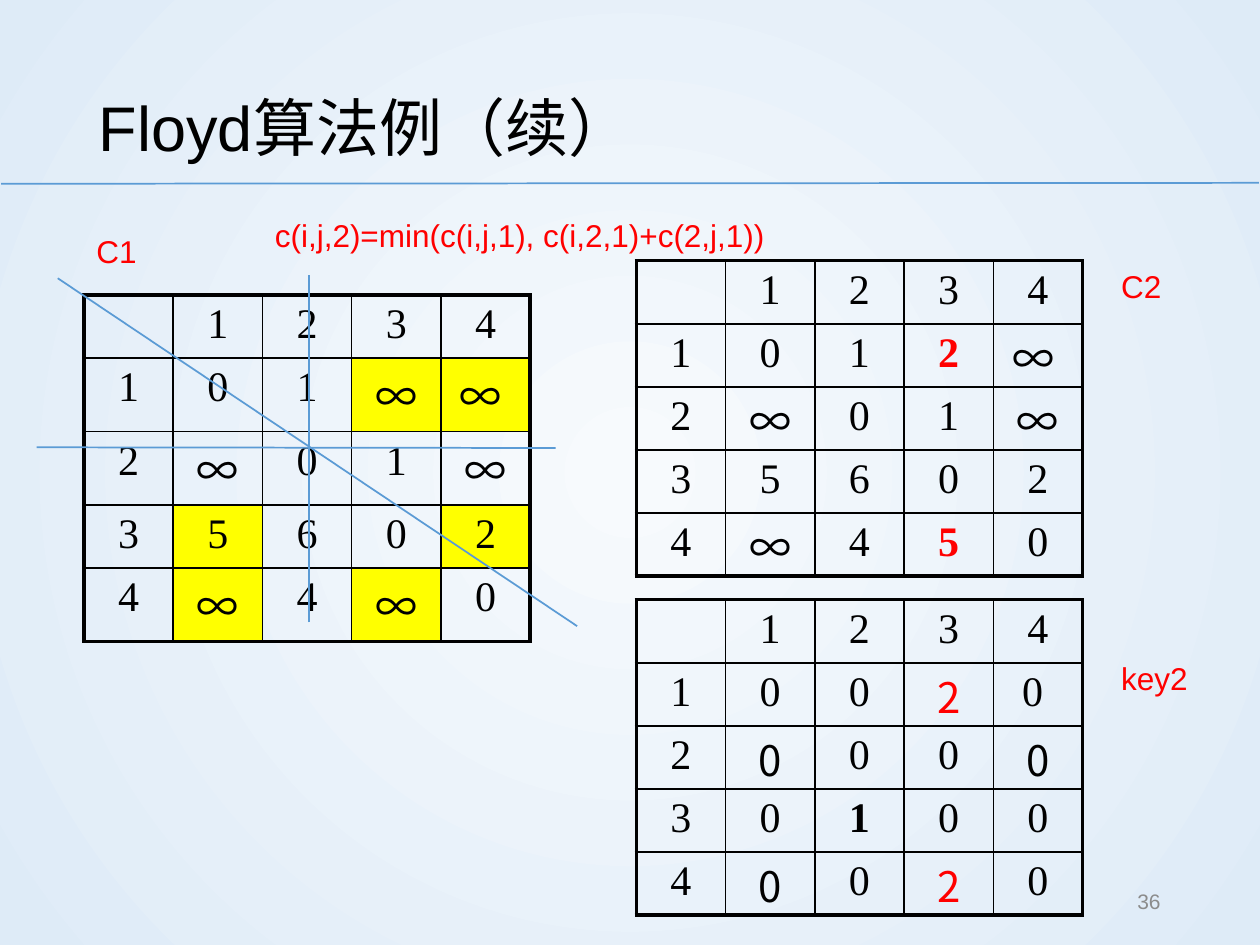
from lxml.etree import SubElement
from pptx import Presentation
from pptx.dml.color import RGBColor
from pptx.enum.shapes import MSO_CONNECTOR
from pptx.enum.text import MSO_ANCHOR, PP_ALIGN
from pptx.oxml.ns import qn
from pptx.util import Pt

BLACK, RED, YELLOW, BLUE, GRAY = "000000", "FF0000", "FFFF00", "5B9BD5", "8C8C8C"
SANS, SERIF, CJK = "Arial", "Times New Roman", "Noto Sans CJK SC"
SIZE, COL_WIDTH = 5, 51
THIN, THICK = 1, 2.25

HEADER = ["", "1", "2", "3", "4"]
C1 = [HEADER,
      ["1", "0", "1", "∞", "∞ "],
      ["2", "∞", "0", "1", "∞"],
      ["3", "5", "6", "0", "2"],
      ["4", "∞", "4", "∞", "0"]]
C2 = [HEADER,
      ["1", "0", "1", "2", "∞ "],
      ["2", "∞", "0", "1", "∞"],
      ["3", "5", "6", "0", "2"],
      ["4", "∞", "4", "5", "0"]]
KEY2 = [HEADER,
        ["1", "0", "0", "2", "0 "],
        ["2", "0", "0", "0", "0"],
        ["3", "0", "1", "0", "0"],
        ["4", "0", "0", "2", "0"]]


def rgb(value):
    return RGBColor.from_string(value)


def write(frame, text, size=18, font=SANS, color=RED, bold=False,
          align=PP_ALIGN.LEFT, line_spacing=None):
    paragraph = frame.paragraphs[0]
    paragraph.alignment = align
    if line_spacing:
        paragraph.line_spacing = line_spacing
    run = paragraph.add_run()
    run.text = text
    run.font.size, run.font.name, run.font.bold = Pt(size), font, bold
    run.font.color.rgb = rgb(color)
    SubElement(run.font._element, qn("a:ea"), typeface=CJK)


def add_label(slide, text, left, top, width, height=29,
              anchor=MSO_ANCHOR.TOP, **text_format):
    box = slide.shapes.add_textbox(Pt(left), Pt(top), Pt(width), Pt(height))
    box.text_frame.word_wrap = True
    box.text_frame.vertical_anchor = anchor
    write(box.text_frame, text, **text_format)


def add_line(slide, x1, y1, x2, y2):
    line = slide.shapes.add_connector(
        MSO_CONNECTOR.STRAIGHT, Pt(x1), Pt(y1), Pt(x2), Pt(y2))
    line.line.color.rgb = rgb(BLUE)
    line.line.width = Pt(1)
    SubElement(line._element.spPr, qn("a:effectLst"))


def set_borders(cell, row, col):
    last = SIZE - 1
    outer = {"L": col == 0, "R": col == last, "T": row == 0, "B": row == last}
    properties = cell._tc.get_or_add_tcPr()
    for place, (side, is_outer) in enumerate(outer.items()):
        width = Pt(THICK if is_outer else THIN)
        border = SubElement(properties, qn(f"a:ln{side}"), w=str(width))
        solid = SubElement(border, qn("a:solidFill"))
        SubElement(solid, qn("a:srgbClr"), val=BLACK)
        properties.insert(place, border)


def add_matrix(slide, values, left, top, row_heights, highlights=(),
               formats=None, tight=False):
    """formats maps (row, column) to text format; tight trims tall glyph cells."""
    table = slide.shapes.add_table(
        SIZE, SIZE, Pt(left), Pt(top), Pt(SIZE * COL_WIDTH),
        Pt(sum(row_heights))).table
    table.first_row = table.horz_banding = False
    for column in table.columns:
        column.width = Pt(COL_WIDTH)
    for row, height in enumerate(row_heights):
        table.rows[row].height = Pt(height)
        for col, value in enumerate(values[row]):
            cell = table.cell(row, col)
            if (row, col) in highlights:
                cell.fill.solid()
                cell.fill.fore_color.rgb = rgb(YELLOW)
            else:
                cell.fill.background()
            set_borders(cell, row, col)
            if not value:
                continue
            text_format = {"font": CJK if "∞" in value else SERIF, "color": BLACK}
            text_format.update((formats or {}).get((row, col), {}))
            if tight and text_format["font"] == CJK:
                cell.margin_top, cell.margin_bottom = Pt(1.2), Pt(0)
            write(cell.text_frame, value, size=24, align=PP_ALIGN.CENTER,
                  **text_format)


def set_background(slide):
    fill = slide.background.fill
    fill.gradient()
    for stop, position, color in zip(fill.gradient_stops, (0, 1),
                                     ("F7FAFD", "DEEBF7")):
        stop.position = position
        stop.color.rgb = rgb(color)
    # Radial gradient from the slide centre
    linear = next(slide.element.iter(qn("a:lin")))
    gradient = linear.getparent()
    gradient.remove(linear)
    radial = SubElement(gradient, qn("a:path"), path="circle")
    SubElement(radial, qn("a:fillToRect"),
               {side: "50000" for side in ("l", "t", "r", "b")})


def main():
    deck = Presentation()
    deck.slide_width, deck.slide_height = Pt(720), Pt(540)
    slide = deck.slides.add_slide(deck.slide_layouts[6])
    set_background(slide)

    # Title
    add_line(slide, 0.7, 105, 719.3, 104.5)
    add_label(slide, "Floyd算法例（续）", 49.5, 28.8, 621, 77.6,
              anchor=MSO_ANCHOR.MIDDLE, size=36, color=BLACK, line_spacing=1.2)

    # Distance matrix before the step
    add_matrix(slide, C1, 48, 168.5, [33.8, 42, 42, 33.8, 42],
               highlights={(1, 3), (1, 4), (3, 1), (3, 4), (4, 1), (4, 3)})
    add_label(slide, "C1", 48, 129, 54)
    add_label(slide, "c(i,j,2)=min(c(i,j,1), c(i,2,1)+c(2,j,1))", 150, 120, 546)

    # Distance matrix after the step
    even_rows = [36] * SIZE
    updated = {"color": RED, "bold": True}
    add_matrix(slide, C2, 363.6, 149, even_rows, tight=True,
               formats={(1, 3): updated, (4, 3): updated})
    add_label(slide, "C2", 633.6, 149, 54)

    # Row, column and diagonal that stay fixed
    add_line(slide, 21, 255.6, 317.5, 256)
    add_line(slide, 176.4, 355.7, 176.4, 157)
    add_line(slide, 33, 159, 329.8, 357.8)

    # Page number
    add_label(slide, "36", 508.3, 500.4, 162, anchor=MSO_ANCHOR.MIDDLE,
              size=12, color=GRAY, align=PP_ALIGN.RIGHT)

    # Intermediate vertices
    via_two = {"font": CJK, "color": RED}
    plain = {"font": CJK}
    add_matrix(slide, KEY2, 363.6, 342.7, even_rows, tight=True,
               formats={(1, 3): via_two, (4, 3): via_two, (3, 2): {"bold": True},
                        (2, 1): plain, (2, 4): plain, (4, 1): plain})
    add_label(slide, "key2", 633.6, 373, 54)

    deck.save("out.pptx")


if __name__ == "__main__":
    main()
